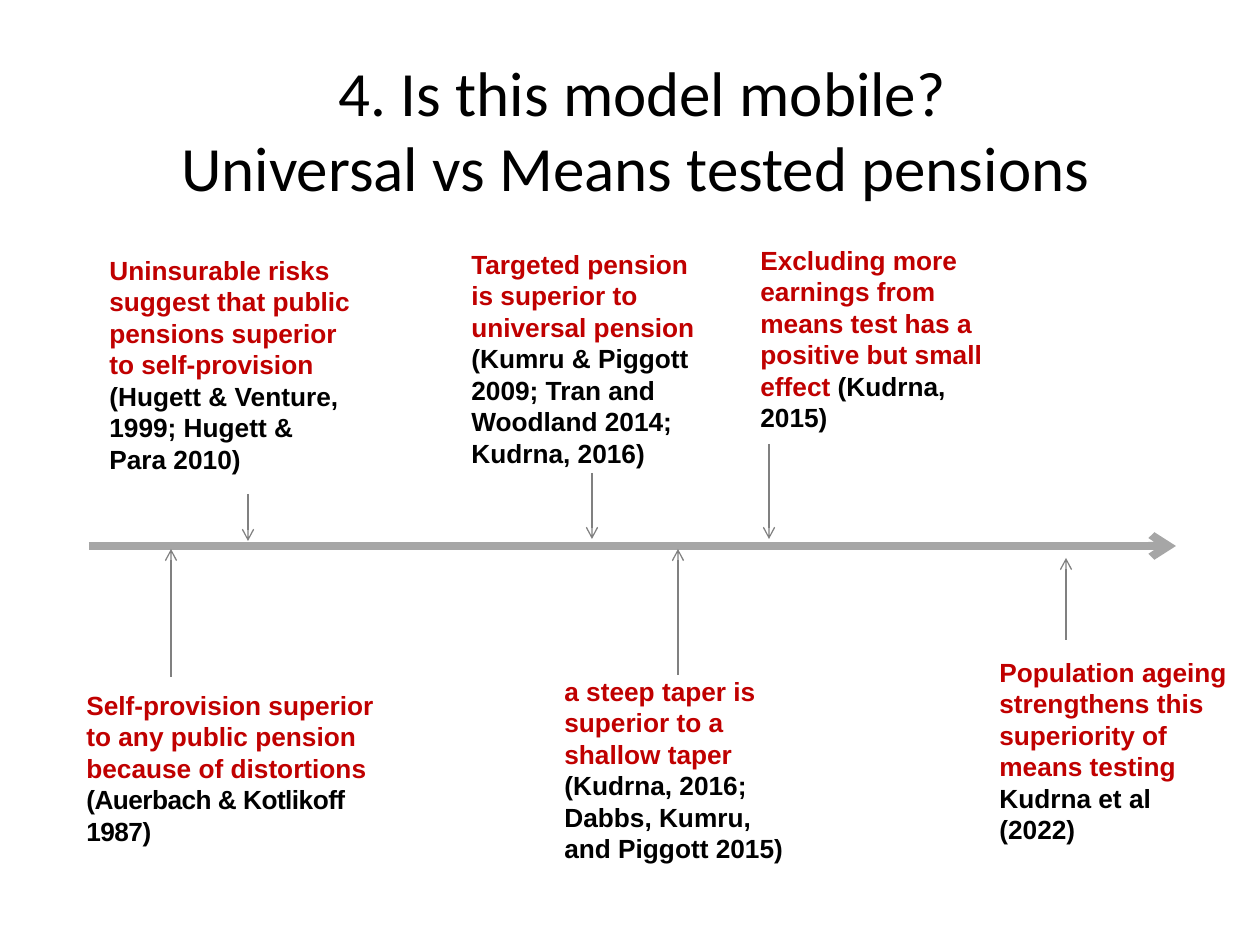
import pptx
import pptx.util
import pptx.dml.color
import pptx.enum.shapes
import pptx.enum.text
import pptx.oxml
import pptx.oxml.ns

PX = 914400 / 126
RED, BLACK, GREY, LIGHT_GREY = "C00000", "000000", "808080", "A6A6A6"

TITLE = "4. Is this model mobile?\vUniversal vs Means tested pensions "
TITLE_BOX = (25, 50, 1235, 158)

# Each finding: box (left, top, width, height), finding, source, format of the source
TIGHT = {"spc": "-30"}
FINDINGS = [
    ((97, 248, 272, 236),
     "Uninsurable risks suggest that public pensions superior to self-provision ",
     "(Hugett & Venture, 1999; Hugett & Para 2010)", {}),
    ((74, 683, 318, 140),
     "Self-provision superior to any public pension because of distortions ",
     "(Auerbach & Kotlikoff 1987)", TIGHT),
    ((459, 242, 262, 236),
     "Targeted pension is superior to universal pension\n",
     "(Kumru & Piggott 2009; Tran and Woodland 2014; Kudrna, 2016)", {}),
    ((748, 238, 262, 171),
     "Excluding more earnings from means test has a positive but small effect ",
     "(Kudrna, 2015)", {}),
    ((552, 669, 253, 204),
     "a steep taper is superior to a shallow taper ",
     "(Kudrna, 2016; Dabbs, Kumru, and Piggott 2015)", {}),
    ((987, 650, 253, 204),
     "Population ageing strengthens this superiority of means testing ",
     "Kudrna et al (2022)", {}),
]

TIMELINE = (89, 546, 1176, 546)
# Pointers to the timeline: x, start y, end y
POINTERS = [(248, 494, 541), (592, 473, 539), (769, 444, 539),
            (171, 677, 549), (678, 675, 549), (1066, 640, 558)]


def px(*lengths):
    return [pptx.util.Emu(round(length * PX)) for length in lengths]


def colour(value):
    return pptx.dml.color.RGBColor.from_string(value)


def set_format(target, values):
    for name, value in values.items():
        setattr(target, name, value)


def add_run(paragraph, text, value, attributes):
    run = paragraph.add_run()
    run.text = text
    set_format(run.font, {"name": "Arial", "size": pptx.util.Pt(15), "bold": True})
    run.font.color.rgb = colour(value)
    for name, setting in attributes.items():
        run.font._element.set(name, setting)


def add_finding(slide, box, finding, source, source_format):
    frame = slide.shapes.add_textbox(*px(*box)).text_frame
    set_format(frame, {"word_wrap": True,
                       "auto_size": pptx.enum.text.MSO_AUTO_SIZE.SHAPE_TO_FIT_TEXT})
    paragraph = frame.paragraphs[0]
    add_run(paragraph, finding.rstrip("\n"), RED, {})
    if finding.endswith("\n"):
        paragraph = frame.add_paragraph()
    add_run(paragraph, source, BLACK, source_format)
    for paragraph in frame.paragraphs:
        paragraph.line_spacing = pptx.util.Pt(18)


def add_arrow(slide, ends, value, width):
    connector = slide.shapes.add_connector(
        pptx.enum.shapes.MSO_CONNECTOR.STRAIGHT, *px(*ends))
    connector.line.color.rgb = colour(value)
    connector.line.width = pptx.util.Pt(width)
    namespace = pptx.oxml.ns.nsdecls("a")
    connector.line._get_or_add_ln().append(
        pptx.oxml.parse_xml(f'<a:tailEnd {namespace} type="arrow"/>'))
    connector._element.spPr.append(pptx.oxml.parse_xml(f"<a:effectLst {namespace}/>"))


def add_title(slide):
    title = slide.shapes.title
    set_format(title, dict(zip(("left", "top", "width", "height"), px(*TITLE_BOX))))
    frame = title.text_frame
    frame.text = TITLE
    set_format(frame, {"word_wrap": True,
                       "vertical_anchor": pptx.enum.text.MSO_ANCHOR.MIDDLE})
    paragraph = frame.paragraphs[0]
    paragraph.alignment = pptx.enum.text.PP_ALIGN.CENTER
    for run in paragraph.runs:
        set_format(run.font, {"name": "Calibri", "size": pptx.util.Pt(36)})
        run.font.color.rgb = colour(BLACK)


def main():
    presentation = pptx.Presentation()
    presentation.slide_width, presentation.slide_height = px(1260, 945)
    slide = presentation.slides.add_slide(presentation.slide_layouts[5])

    add_title(slide)

    # Timeline and its pointers
    add_arrow(slide, TIMELINE, LIGHT_GREY, 4.5)
    for x, start, end in POINTERS:
        add_arrow(slide, (x, start, x, end), GREY, 0.75)

    # Findings above and below the timeline
    for finding in FINDINGS:
        add_finding(slide, *finding)

    presentation.save("out.pptx")


if __name__ == "__main__":
    main()
